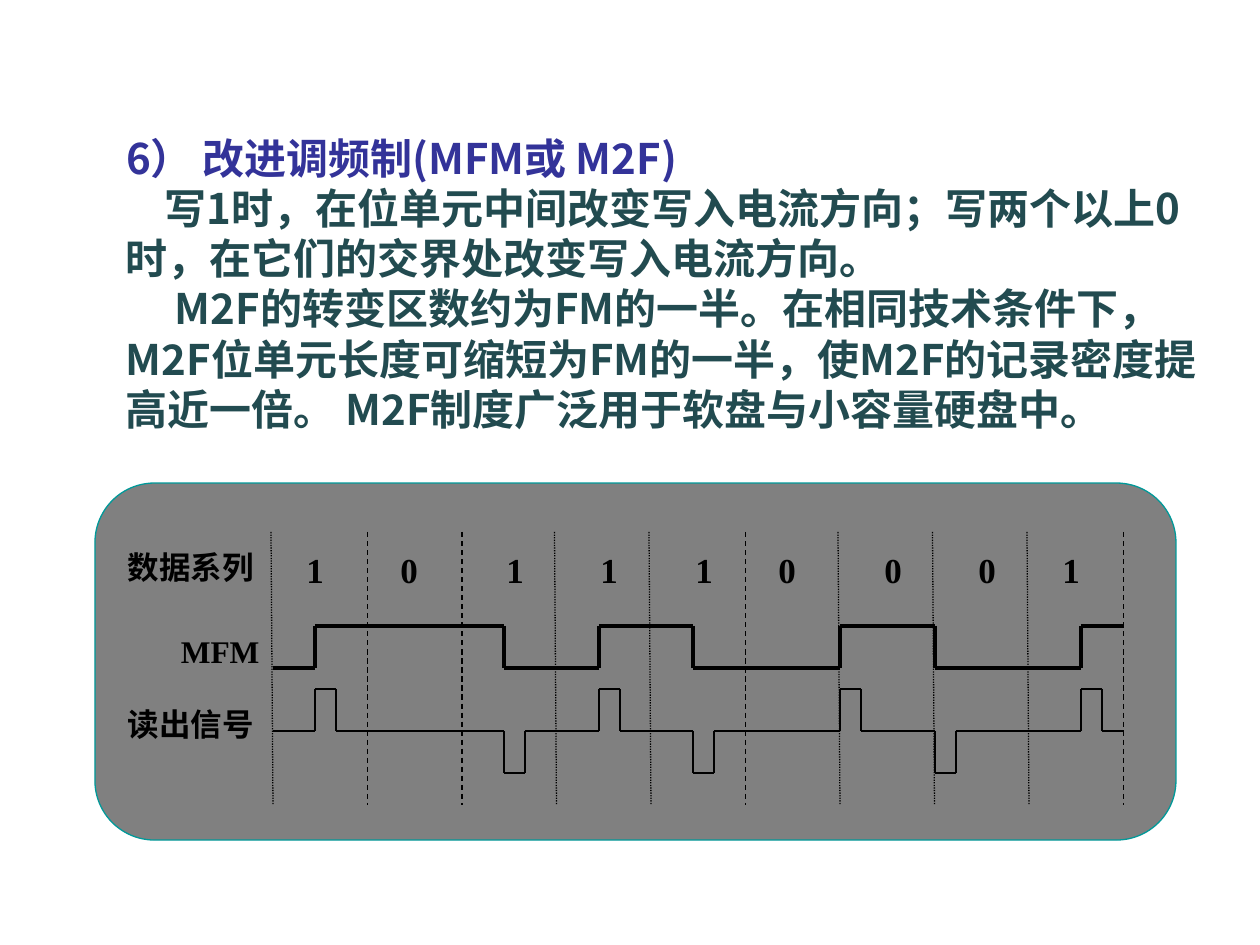
from itertools import pairwise

from lxml import etree
from pptx import Presentation
from pptx.dml.color import RGBColor
from pptx.enum.dml import MSO_LINE
from pptx.enum.shapes import MSO_CONNECTOR, MSO_SHAPE
from pptx.enum.text import MSO_ANCHOR, MSO_AUTO_SIZE, PP_ALIGN
from pptx.oxml.ns import qn
from pptx.util import Pt

# Content
TITLE = "6） 改进调频制(MFM或 M2F)"
BODY = [  # first-line indent, text
    (39, "写1时，在位单元中间改变写入电流方向；写两个以上0时，在它们的交界处改变写入电流方向。"),
    (49, "M2F的转变区数约为FM的一半。在相同技术条件下， M2F位单元长度可缩短为FM的一半，"
         "使M2F的记录密度提高近一倍。 M2F制度广泛用于软盘与小容量硬盘中。"),
]
LABELS = [  # text, left, top, width
    ("数据系列", 115, 542, 151),
    ("MFM", 157, 626, 115),
    ("读出信号", 115, 699, 151),
]
BITS = "101110001"
BIT_LEFTS = [294, 388, 494, 588, 683, 766, 872, 966, 1050]
FLIPS = [315, 504, 599, 693, 840, 935, 1081]  # where the write current reverses

# Timing diagram geometry
START, END, CELL = 273, 1124, 94.5
GRID_TOP, GRID_BOTTOM = 532, 805
DASHED = {1, 2, 5, 9}
HIGH, LOW = 626, 668
BASE, SWING, PULSE = 731, 42, 21

SANS, SERIF = "Noto Sans CJK SC", "Times New Roman"


def px(n):
    return round(n * 914400 / 126)


def rgb(value):
    return RGBColor.from_string(value)


def set_font(p, name, size, color):
    p.font.name, p.font.size, p.font.bold = name, Pt(size), True
    p.font.color.rgb = rgb(color)


def set_sans(p, color):
    p.alignment = PP_ALIGN.LEFT
    p.line_spacing = Pt(28.8)
    p.space_before = Pt(0)
    set_font(p, SANS, 24, color)
    ea = etree.SubElement(p.font._element, qn("a:ea"))
    ea.set("typeface", SANS)


def set_frame(tf):
    tf.word_wrap = True
    tf.auto_size = MSO_AUTO_SIZE.NONE
    tf.vertical_anchor = MSO_ANCHOR.TOP
    tf.margin_left = tf.margin_right = px(13)
    tf.margin_top, tf.margin_bottom = px(7), 0


def add_label(s, text, left, top, width, height, size, align):
    tf = s.shapes.add_textbox(px(left), px(top), px(width), px(height)).text_frame
    tf.word_wrap = False
    p = tf.paragraphs[0]
    p.text, p.alignment = text, align
    set_font(p, SERIF, size, "000000")


def add_line(s, start, end, width, dash=None):
    line = s.shapes.add_connector(MSO_CONNECTOR.STRAIGHT, *map(px, start + end))
    line.line.color.rgb = rgb("000000")
    line.line.width = Pt(width)
    if dash:
        line.line.dash_style = dash
    etree.SubElement(line._element.spPr, qn("a:effectLst"))


def add_wave(s, points, width):
    for start, end in pairwise(points):
        add_line(s, start, end, width)


prs = Presentation()
prs.slide_width, prs.slide_height = px(1260), px(945)
s = prs.slides.add_slide(prs.slide_layouts[5])

# Title
title = s.shapes.title
title.left, title.top, title.width, title.height = map(px, (113, 125, 1121, 50))
set_frame(title.text_frame)
p = title.text_frame.paragraphs[0]
p.text = TITLE
set_sans(p, "333399")

# Explanation
tf = s.shapes.add_textbox(px(113), px(175), px(1121), px(270)).text_frame
set_frame(tf)
for i, (indent, text) in enumerate(BODY):
    p = tf.add_paragraph() if i else tf.paragraphs[0]
    p.text = text
    pPr = p._p.get_or_add_pPr()
    pPr.set("marL", "0")
    pPr.set("indent", str(px(indent)))
    set_sans(p, "224B50")

# Panel
panel = s.shapes.add_shape(MSO_SHAPE.FLOWCHART_ALTERNATE_PROCESS,
                           px(95), px(483), px(1081), px(357))
panel.shadow.inherit = False
panel.fill.solid()
panel.fill.fore_color.rgb = rgb("808080")
panel.line.color.rgb = rgb("009999")
panel.line.width = Pt(0.75)

# Row labels and data bits
for text, left, top, width in LABELS:
    add_label(s, text, left, top, width, 50, 18, PP_ALIGN.RIGHT)
for bit, left in zip(BITS, BIT_LEFTS):
    add_label(s, bit, left, 542, 43, 55, 20, PP_ALIGN.LEFT)

# Bit cell boundaries: the dotted ones lean slightly
for i in range(len(BITS) + 1):
    x = START + i * CELL
    dashed = i in DASHED
    add_line(s, (x if dashed else x - 2, GRID_TOP), (x, GRID_BOTTOM), 0.75,
             MSO_LINE.DASH if dashed else MSO_LINE.ROUND_DOT)

# Write current toggles at each flip; the read signal pulses up, then down
write, read = [(START, LOW)], [(START, BASE)]
for i, x in enumerate(FLIPS):
    before, after = (HIGH, LOW) if i % 2 else (LOW, HIGH)
    peak = BASE + SWING if i % 2 else BASE - SWING
    write += [(x, before), (x, after)]
    read += [(x, BASE), (x, peak), (x + PULSE, peak), (x + PULSE, BASE)]
add_wave(s, write + [(END, after)], 2)
add_wave(s, read + [(END, BASE)], 0.75)

prs.save("out.pptx")
